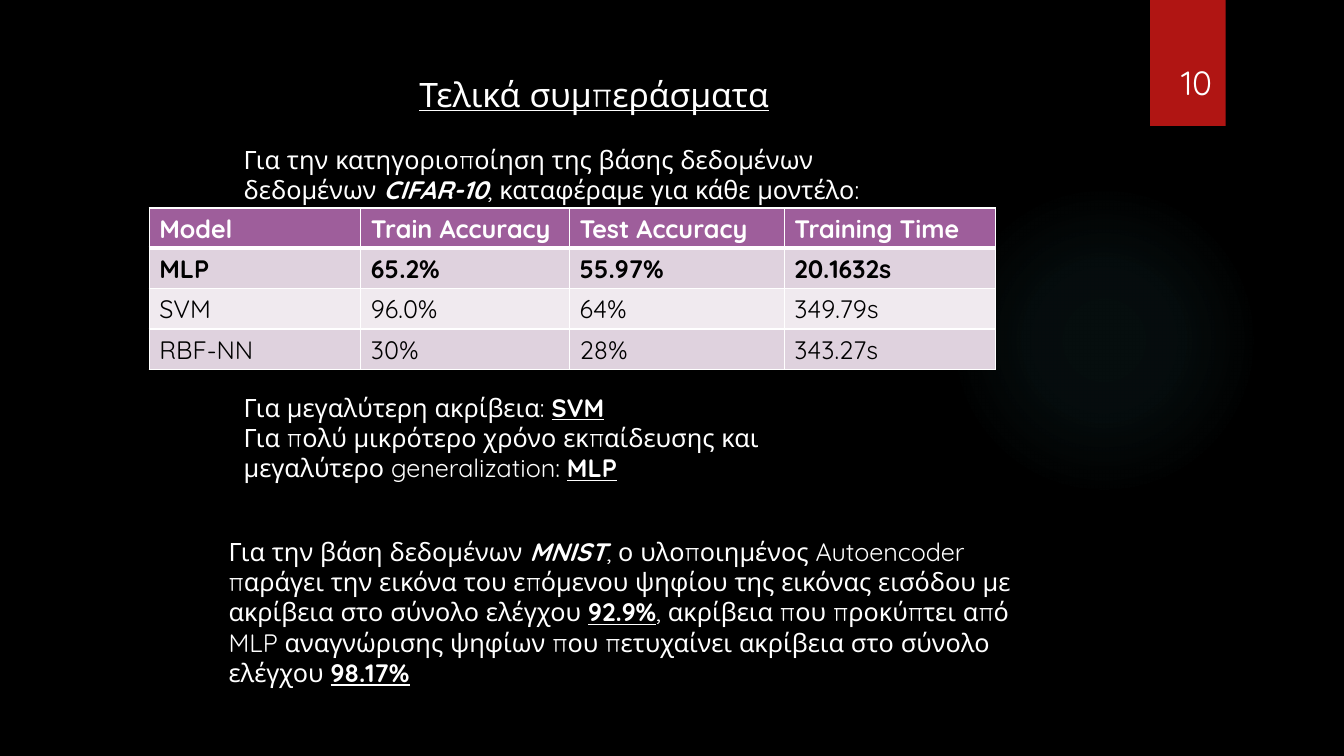
from lxml import etree
from pptx import Presentation
from pptx.dml.color import RGBColor
from pptx.enum.shapes import MSO_SHAPE
from pptx.enum.text import PP_ALIGN
from pptx.oxml.ns import nsdecls, qn
from pptx.oxml import parse_xml
from pptx.util import Pt

OVAL, RECT = MSO_SHAPE.OVAL, MSO_SHAPE.RECTANGLE
LEFT, CENTER = PP_ALIGN.LEFT, PP_ALIGN.CENTER
FONT = "Quicksand"
COLORS = {"background": "000000", "text": "FFFFFF", "cell_text": "000000",
          "tab": "B01513", "glow": "50B9C1", "header": "9E5E9B",
          "band_dark": "DFD2DE", "band_light": "F0EAEF", "border": "FFFFFF"}

RESULTS = [
    ["Model", "Train Accuracy", "Test Accuracy", "Training Time"],
    ["MLP", "65.2%", "55.97%", "20.1632s"],
    ["SVM", "96.0%", "64%", "349.79s"],
    ["RBF-NN", "30%", "28%", "343.27s"],
]
COLUMN_WIDTHS = [151.2, 149, 153.4, 151.2]

# Run styles: b bold, i italic, u underlined
TITLE = [("Τελικά συμπεράσματα", "u")]
INTRO = [("Για την κατηγοριοποίηση της βάσης δεδομένων δεδομένων ", ""),
         ("CIFAR-10", "bi"), (", καταφέραμε για κάθε μοντέλο:", "")]
BEST_ACCURACY = [("Για μεγαλύτερη ακρίβεια: ", ""), ("SVM", "bu")]
BEST_TIME = [("Για πολύ μικρότερο χρόνο εκπαίδευσης και μεγαλύτερο "
              "generalization: ", ""), ("MLP", "bu")]
AUTOENCODER = [
    ("Για την βάση δεδομένων ", ""), ("MNIST", "bi"),
    (", ο υλοποιημένος Autoencoder παράγει την εικόνα του επόμενου ψηφίου "
     "της εικόνας εισόδου με ακρίβεια στο σύνολο ελέγχου ", ""),
    ("92.9%", "bu"),
    (", ακρίβεια που προκύπτει από MLP αναγνώρισης ψηφίων που πετυχαίνει "
     "ακρίβεια στο σύνολο ελέγχου ", ""), ("98.17%", "bu")]


def rgb(name):
    return RGBColor.from_string(COLORS[name])


def set_font(p, size, color="text"):
    p.font.name = FONT
    p.font.size = Pt(size)
    p.font.color.rgb = rgb(color)


def add_paragraph(tf, runs, size=18, align=LEFT, first=False):
    p = tf.paragraphs[0] if first else tf.add_paragraph()
    p.alignment = align
    set_font(p, size)
    for text, style in runs:
        r = p.add_run()
        r.text = text
        if "b" in style:
            r.font.bold = True
        if "i" in style:
            r.font.italic = True
        if "u" in style:
            r.font.underline = True
    return p


def add_text_frame(slide, left, top, width, height):
    sp = slide.shapes.add_textbox(Pt(left), Pt(top), Pt(width), Pt(height))
    sp.text_frame.word_wrap = True
    return sp.text_frame


def add_plain_shape(slide, kind, left, top, width, height):
    sp = slide.shapes.add_shape(kind, Pt(left), Pt(top), Pt(width), Pt(height))
    sp.shadow.inherit = False
    sp.line.fill.background()
    return sp


def add_glow(slide, left, top, size):
    """Faint circle that fades out from its centre."""
    sp = add_plain_shape(slide, OVAL, left, top, size, size)
    stops = "".join(
        f'<a:gs pos="{pos * 1000}"><a:srgbClr val="{COLORS["glow"]}">'
        f'<a:alpha val="{alpha * 1000}"/></a:srgbClr></a:gs>'
        for pos, alpha in [(0, 7), (36, 6), (69, 0)])
    gradient = parse_xml(
        f'<a:gradFill {nsdecls("a")}><a:gsLst>{stops}</a:gsLst>'
        '<a:path path="circle"><a:fillToRect l="50000" t="50000" r="50000" '
        'b="50000"/></a:path></a:gradFill>')
    sp._element.spPr.find(qn("a:prstGeom")).addnext(gradient)


def add_page_tab(slide, left, top, width, height, number):
    sp = add_plain_shape(slide, RECT, left, top, width, height)
    sp.fill.solid()
    sp.fill.fore_color.rgb = rgb("tab")
    tf = add_text_frame(slide, left + 15, top + 41, 46, 36)
    add_paragraph(tf, [(number, "")], size=24, first=True)


def add_heading(slide, left, top, width, height):
    tf = add_text_frame(slide, left, top, width, height)
    add_paragraph(tf, TITLE, size=24, align=CENTER, first=True)
    add_paragraph(tf, INTRO).space_before = Pt(21.6)


def add_body(slide, left, top, width, height, paragraphs):
    tf = add_text_frame(slide, left, top, width, height)
    for i, runs in enumerate(paragraphs):
        add_paragraph(tf, runs, first=i == 0)


def set_borders(cell, top, bottom):
    """White borders: 1 pt at the sides, given widths above and below."""
    tcPr = cell._tc.get_or_add_tcPr()
    widths = {"lnL": 1, "lnR": 1, "lnT": top, "lnB": bottom}
    for i, (side, width) in enumerate(widths.items()):
        ln = etree.Element(qn(f"a:{side}"), w=str(Pt(width)))
        fill = etree.SubElement(ln, qn("a:solidFill"))
        etree.SubElement(fill, qn("a:srgbClr"), val=COLORS["border"])
        tcPr.insert(i, ln)


def add_results(slide, left, top, row_height):
    rows = len(RESULTS)
    table = slide.shapes.add_table(
        rows, len(COLUMN_WIDTHS), Pt(left), Pt(top),
        Pt(sum(COLUMN_WIDTHS)), Pt(rows * row_height)).table
    for column, width in zip(table.columns, COLUMN_WIDTHS):
        column.width = Pt(width)
    for i, values in enumerate(RESULTS):
        table.rows[i].height = Pt(row_height)
        band = "header" if i == 0 else "band_dark" if i % 2 else "band_light"
        for j, value in enumerate(values):
            cell = table.cell(i, j)
            cell.text = value
            cell.fill.solid()
            cell.fill.fore_color.rgb = rgb(band)
            set_borders(cell, 3 if i == 1 else 1, 3 if i == 0 else 1)
            p = cell.text_frame.paragraphs[0]
            set_font(p, 18, "text" if i == 0 else "cell_text")
            p.font.bold = i < 2


def build_conclusions(prs):
    slide = prs.slides.add_slide(prs.slide_layouts[6])
    slide.background.fill.solid()
    slide.background.fill.fore_color.rgb = rgb("background")
    add_glow(slide, 677.5, 131.8, 221.8)
    add_page_tab(slide, 821.5, 0, 54, 90, "10")
    add_heading(slide, 167, 49, 514.8, 145.4)
    add_results(slide, 106.6, 148.5, 28.8)
    add_body(slide, 167, 276.5, 471.6, 72.7, [BEST_ACCURACY, BEST_TIME])
    add_body(slide, 156.2, 379.5, 577.4, 116.6, [AUTOENCODER])


def main():
    prs = Presentation()
    prs.slide_width, prs.slide_height = Pt(960), Pt(540)
    build_conclusions(prs)
    prs.save("out.pptx")


if __name__ == "__main__":
    main()
